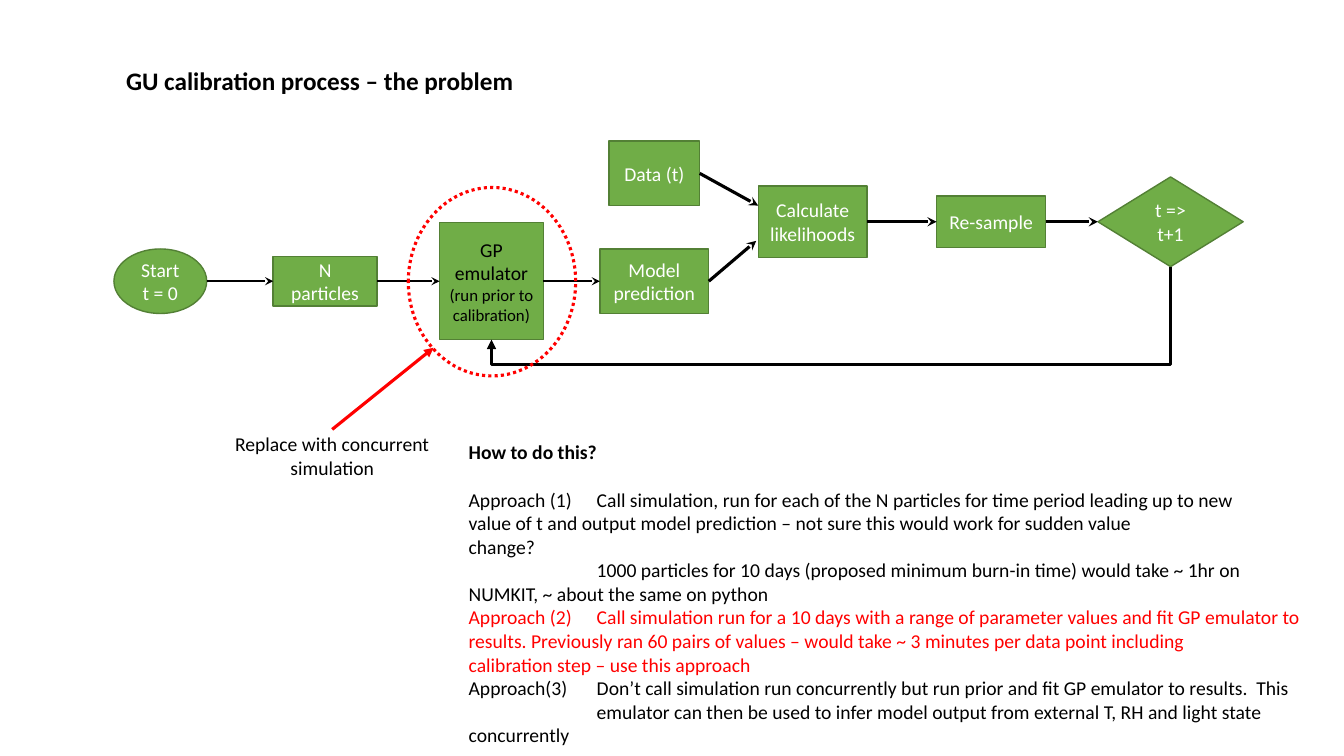
from dataclasses import dataclass

from lxml import etree
from pptx import Presentation
from pptx import util as u
from pptx.dml.color import RGBColor
from pptx.enum import dml, shapes, text
from pptx.oxml import ns


@dataclass(frozen=True)
class Theme:
    font: str = "Calibri"
    green: str = "70AD47"
    edge: str = "538035"
    black: str = "000000"
    white: str = "FFFFFF"
    red: str = "FF0000"
    title: float = 18
    body: float = 14
    small: float = 12
    thin: float = 1.5
    thick: float = 2.25


THEME = Theme()
TOP, LEFT, BOTTOM, RIGHT = range(4)


def rgb(colour):
    return RGBColor.from_string(colour)


def style(paragraph, size=THEME.body, colour=THEME.black, bold=False):
    for run in paragraph.runs:
        run.font.name = THEME.font
        run.font.size = u.Pt(size)
        run.font.bold = bold
        run.font.color.rgb = rgb(colour)


def add_step(slide, label, left, middle, width, height,
             kind=shapes.MSO_SHAPE.RECTANGLE, colour=THEME.white):
    step = slide.shapes.add_shape(
        kind, u.Inches(left), u.Inches(middle - height / 2),
        u.Inches(width), u.Inches(height))
    step.shadow.inherit = False
    step.fill.solid()
    step.fill.fore_color.rgb = rgb(THEME.green)
    step.line.color.rgb = rgb(THEME.edge)
    step.line.width = u.Pt(1)
    step.text_frame.word_wrap = True
    step.text_frame.vertical_anchor = text.MSO_ANCHOR.MIDDLE
    step.text_frame.text = label
    for paragraph in step.text_frame.paragraphs:
        paragraph.alignment = text.PP_ALIGN.CENTER
        style(paragraph, colour=colour)
    return step


def finish_arrow(arrow, width, head, colour):
    arrow.line.color.rgb = rgb(colour)
    arrow.line.width = u.Pt(width)
    etree.SubElement(arrow.line._get_or_add_ln(), ns.qn("a:tailEnd"), type=head)
    etree.SubElement(arrow._element.spPr, ns.qn("a:effectLst"))


def add_arrow(slide, start, end, width=THEME.thick, head="stealth", colour=THEME.black):
    arrow = slide.shapes.add_connector(
        shapes.MSO_CONNECTOR.STRAIGHT, *(u.Inches(v) for v in (*start, *end)))
    finish_arrow(arrow, width, head, colour)
    return arrow


def right_of(step):
    return (step.left + step.width) / u.Inches(1), (step.top + step.height / 2) / u.Inches(1)


def left_of(step):
    return step.left / u.Inches(1), right_of(step)[1]


def join(slide, source, target, width):
    arrow = add_arrow(slide, right_of(source), left_of(target), width)
    if source.auto_shape_type != shapes.MSO_SHAPE.OVAL:
        arrow.begin_connect(source, RIGHT)
    arrow.end_connect(target, LEFT)


def add_loop(slide, source, target, drop):
    loop = slide.shapes.add_connector(shapes.MSO_CONNECTOR.ELBOW, 0, 0, 0, 0)
    loop.begin_connect(source, BOTTOM)
    loop.end_connect(target, BOTTOM)
    start_x, end_x = (s.left + s.width // 2 for s in (source, target))
    start_y, end_y = (s.top + s.height for s in (source, target))
    loop.width, loop.height = end_y - start_y, start_x - end_x
    loop.left = (start_x + end_x - loop.width) // 2
    loop.top = (start_y + end_y - loop.height) // 2
    xfrm = loop._element.spPr.find(ns.qn("a:xfrm"))
    for flip in ("flipH", "flipV"):
        xfrm.attrib.pop(flip, None)
    xfrm.set("rot", "5400000")
    bend = round(100000 * (1 + u.Inches(drop) / loop.width))
    adjustments = loop._element.spPr.find(ns.qn("a:prstGeom")).find(ns.qn("a:avLst"))
    etree.SubElement(adjustments, ns.qn("a:gd"), name="adj1", fmla=f"val {bend}")
    finish_arrow(loop, THEME.thick, "triangle", THEME.black)


def add_title(slide, left, top, width, height):
    title = slide.shapes.title
    title.left, title.top, title.width, title.height = map(u.Inches, (left, top, width, height))
    title.text_frame.text = "GU calibration process – the problem"
    title.text_frame.word_wrap = False
    title.text_frame.auto_size = text.MSO_AUTO_SIZE.NONE
    title.text_frame.vertical_anchor = text.MSO_ANCHOR.MIDDLE
    title.text_frame.paragraphs[0].alignment = text.PP_ALIGN.LEFT
    style(title.text_frame.paragraphs[0], THEME.title, bold=True)


def add_process(slide, left, top):
    lower, upper = top + 1.39, top + 0.8
    start = add_step(slide, "Start\nt = 0", left, lower, 0.92, 0.64, shapes.MSO_SHAPE.OVAL)
    particles = add_step(slide, "N particles", left + 1.58, lower, 1.03, 0.49)
    emulator = add_step(slide, "GP emulator\n(run prior to calibration)",
                        left + 3.23, lower, 1.03, 1.16, colour=THEME.black)
    style(emulator.text_frame.paragraphs[1], THEME.small)
    prediction = add_step(slide, "Model prediction", left + 4.82, lower, 1.08, 0.64)
    data = add_step(slide, "Data (t)", left + 4.91, top + 0.32, 0.9, 0.64)
    likelihoods = add_step(slide, "Calculate likelihoods", left + 6.39, upper, 1.08, 0.71)
    resample = add_step(slide, "Re-sample", left + 8.16, upper, 1.08, 0.51)
    advance = add_step(slide, "t => t+1", left + 9.76, upper, 1.44, 0.89,
                       shapes.MSO_SHAPE.FLOWCHART_DECISION)

    for row, width in (((start, particles, emulator, prediction), THEME.thin),
                       ((likelihoods, resample, advance), THEME.thick)):
        for source, target in zip(row, row[1:]):
            join(slide, source, target, width)
    for source, end in ((prediction, (left + 6.37, top + 0.99)),
                        (data, (left + 6.39, top + 0.64))):
        add_arrow(slide, right_of(source), end).begin_connect(source, RIGHT)
    add_loop(slide, advance, emulator, 0.25)

    focus = slide.shapes.add_shape(
        shapes.MSO_SHAPE.OVAL, u.Inches(left + 2.92), u.Inches(top + 0.46),
        u.Inches(1.66), u.Inches(1.87))
    focus.shadow.inherit = False
    focus.fill.background()
    focus.line.color.rgb = rgb(THEME.red)
    focus.line.width = u.Pt(THEME.thick)
    focus.line.dash_style = dml.MSO_LINE.ROUND_DOT


def add_text_box(slide, left, top, width, height, content):
    box = slide.shapes.add_textbox(*map(u.Inches, (left, top, width, height)))
    box.text_frame.word_wrap = True
    box.text_frame.text = content
    return box.text_frame.paragraphs


def add_replacement(slide, left, top, width, height):
    caption, = add_text_box(slide, left, top, width, height,
                            "Replace with concurrent simulation")
    caption.alignment = text.PP_ALIGN.CENTER
    style(caption)
    add_arrow(slide, (left + width / 2, top + 0.02), (left + 2.25, top - 0.79),
              head="triangle", colour=THEME.red)


def add_approaches(slide, left, top, width, height):
    heading, *approaches = add_text_box(slide, left, top, width, height, "\n".join((
        "How to do this?",
        "Approach (1)\tCall simulation, run for each of the N particles for time period "
        "leading up to new\vvalue of t and output model prediction – not sure this would "
        "work for sudden value\vchange?",
        "\t1000 particles for 10 days (proposed minimum burn-in time) would take ~ 1hr on"
        "\vNUMKIT, ~ about the same on python",
        "Approach (2)\tCall simulation run for a 10 days with a range of parameter values "
        "and fit GP emulator to\vresults. Previously ran 60 pairs of values – would take "
        "~ 3 minutes per data point including\vcalibration step – use this approach",
        "Approach(3)\tDon’t call simulation run concurrently but run prior and fit GP "
        "emulator to results.  This\v\temulator can then be used to infer model output "
        "from external T, RH and light state\vconcurrently")))
    style(heading, bold=True)
    heading.space_after = u.Pt(17)
    for approach in approaches:
        style(approach, colour=THEME.red if "(2)" in approach.text else THEME.black)
        stops = etree.SubElement(approach._p.get_or_add_pPr(), ns.qn("a:tabLst"))
        etree.SubElement(stops, ns.qn("a:tab"), pos=str(u.Inches(1.27)), algn="l")


def main():
    deck = Presentation()
    deck.slide_width, deck.slide_height = u.Inches(13.33), u.Inches(7.5)
    slide = deck.slides.add_slide(deck.slide_layouts[5])
    add_title(slide, 1.15, 0.6, 4.07, 0.4)
    add_process(slide, 1.13, 1.4)
    add_replacement(slide, 2.05, 4.24, 2.49, 0.57)
    add_approaches(slide, 4.55, 4.32, 8.66, 3.13)
    deck.save("out.pptx")


if __name__ == "__main__":
    main()
